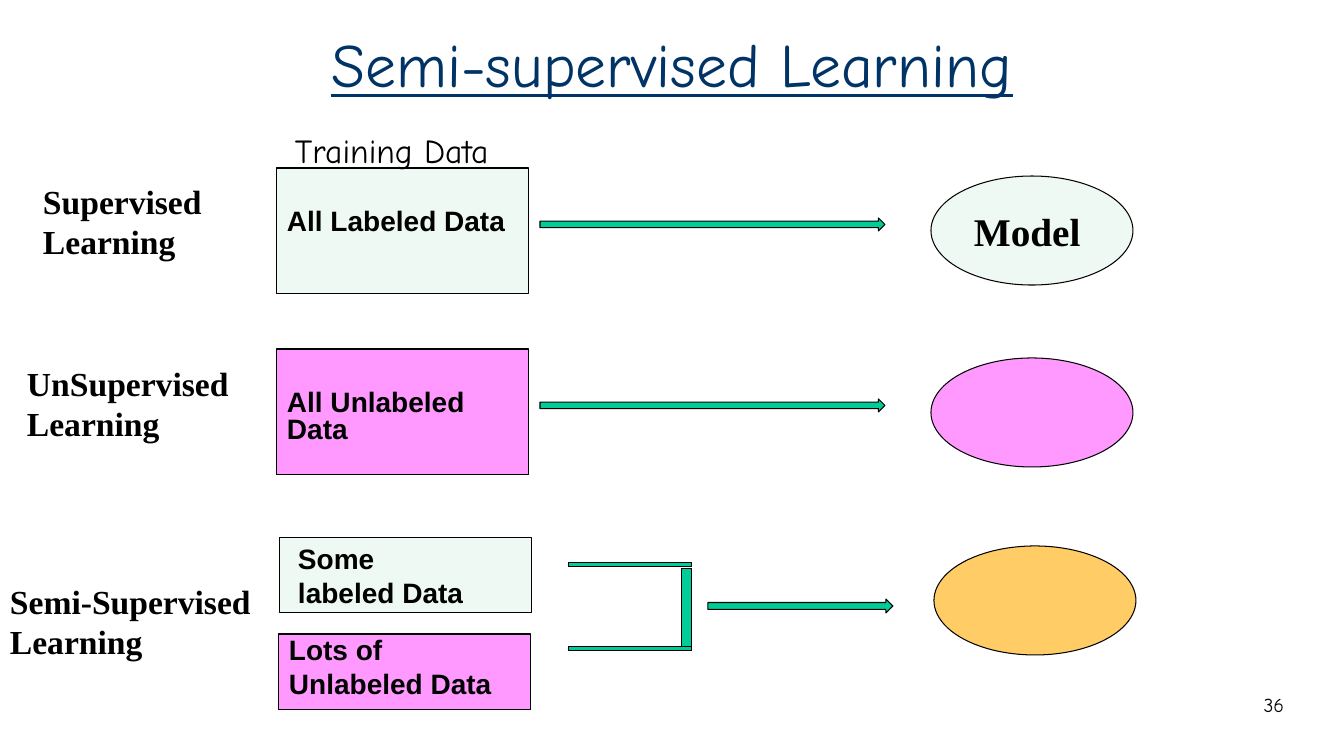
from pptx import Presentation
from pptx.dml.color import RGBColor
from pptx.enum import shapes, text
from pptx.util import Pt

BLACK = RGBColor(0x00, 0x00, 0x00)
NAVY = RGBColor(0x00, 0x33, 0x66)
MINT = RGBColor(0xEE, 0xF9, 0xF4)
PINK = RGBColor(0xFF, 0x99, 0xFF)
GOLD = RGBColor(0xFF, 0xCC, 0x66)
GREEN = RGBColor(0x00, 0xCC, 0x99)

HAND = dict(name="Comic Neue", color=BLACK)
SERIF = dict(name="Times New Roman", bold=True, color=BLACK)
SANS = dict(name="Arial", size=20, bold=True, color=BLACK)
LEFT, MID, RIGHT = (text.PP_ALIGN.LEFT, text.PP_ALIGN.CENTER,
                    text.PP_ALIGN.RIGHT)
TOP, CORE = text.MSO_ANCHOR.TOP, text.MSO_ANCHOR.MIDDLE
KIND = shapes.MSO_SHAPE

# Lines, box in px, font, alignment, anchor
TEXTS = [
    (["Semi-supervised Learning"], (101, 0, 1142, 126),
     dict(HAND, size=44, color=NAVY, underline=True), MID, CORE),
    (["Training Data"], (285, 125, 252, 42), dict(HAND, size=24), LEFT, TOP),
    (["36"], (1218, 688, 76, 50), dict(HAND, size=14), RIGHT, TOP),
    (["Model"], (964, 202, 145, 57), dict(SERIF, size=28), LEFT, TOP),
]

# First word, label left and top, ellipse left and top, ellipse fill
ROWS = [
    ("Supervised", (33, 176), (931, 176), MINT),
    ("UnSupervised", (17, 358), (931, 358), PINK),
    ("Semi-Supervised", (0, 576), (934, 546), GOLD),
]

# Lines, box in px, fill, left and top margin
DATA = [
    (["All Labeled Data"], (277, 168, 252, 126), MINT, (10, 42)),
    (["All Unlabeled Data"], (277, 349, 252, 126), PINK, (10, 42)),
    (["Some", "labeled Data"], (280, 537, 252, 76), MINT, (18, 11)),
    (["Lots of", "Unlabeled Data"], (279, 634, 252, 76), PINK, (10, 5)),
]

ARROWS = [(540, 218, 345, 13), (540, 399, 345, 13), (708, 599, 185, 14)]

# Box in px, rotation
BARS = [
    ((546, 554, 168, 21), 0),
    ((546, 638, 168, 21), 0),
    ((634, 586, 105, 43), 270),
]

PX = 914400 / 100.8


def px(n):
    return round(n * PX)


def write(frame, lines, font, align=LEFT, anchor=TOP, inset=(10, 5), **form):
    """Fill a text frame; form holds paragraph settings."""
    frame.word_wrap = True
    frame.vertical_anchor = anchor
    frame.margin_left, frame.margin_top = map(px, inset)
    for i, line in enumerate(lines):
        para = frame.paragraphs[0] if i == 0 else frame.add_paragraph()
        para.alignment = align
        for key, val in form.items():
            if i or key != "space_before":
                setattr(para, key, val)
        run = para.add_run()
        run.text = line
        for key, val in font.items():
            if key == "color":
                run.font.color.rgb = val
            else:
                setattr(run.font, key, Pt(val) if key == "size" else val)


def draw(slide, kind, box, fill):
    shape = slide.shapes.add_shape(kind, *map(px, box))
    shape.shadow.inherit = False
    shape.fill.solid()
    shape.fill.fore_color.rgb = fill
    shape.line.color.rgb = BLACK
    shape.line.width = Pt(0.75)
    return shape


def label(slide, lines, box, font, align=LEFT, anchor=TOP):
    area = slide.shapes.add_textbox(*map(px, box))
    write(area.text_frame, lines, font, align, anchor)


def main():
    deck = Presentation()
    deck.slide_width, deck.slide_height = px(1344), px(756)
    slide = deck.slides.add_slide(deck.slide_layouts[6])

    for word, spot, oval, fill in ROWS:
        draw(slide, KIND.OVAL, (*oval, 202, 109), fill)
        label(slide, [word, "Learning"], (*spot, 269, 92),
              dict(SERIF, size=24))
    for lines, box, fill, inset in DATA:
        rect = draw(slide, KIND.RECTANGLE, box, fill)
        write(rect.text_frame, lines, SANS, inset=inset,
              line_spacing=0.8, space_before=Pt(5))
    for box in ARROWS:
        draw(slide, KIND.RIGHT_ARROW, box, GREEN)
    for box, turn in BARS:
        draw(slide, KIND.MATH_MINUS, box, GREEN).rotation = turn
    for item in TEXTS:
        label(slide, *item)

    deck.save("out.pptx")


if __name__ == "__main__":
    main()
